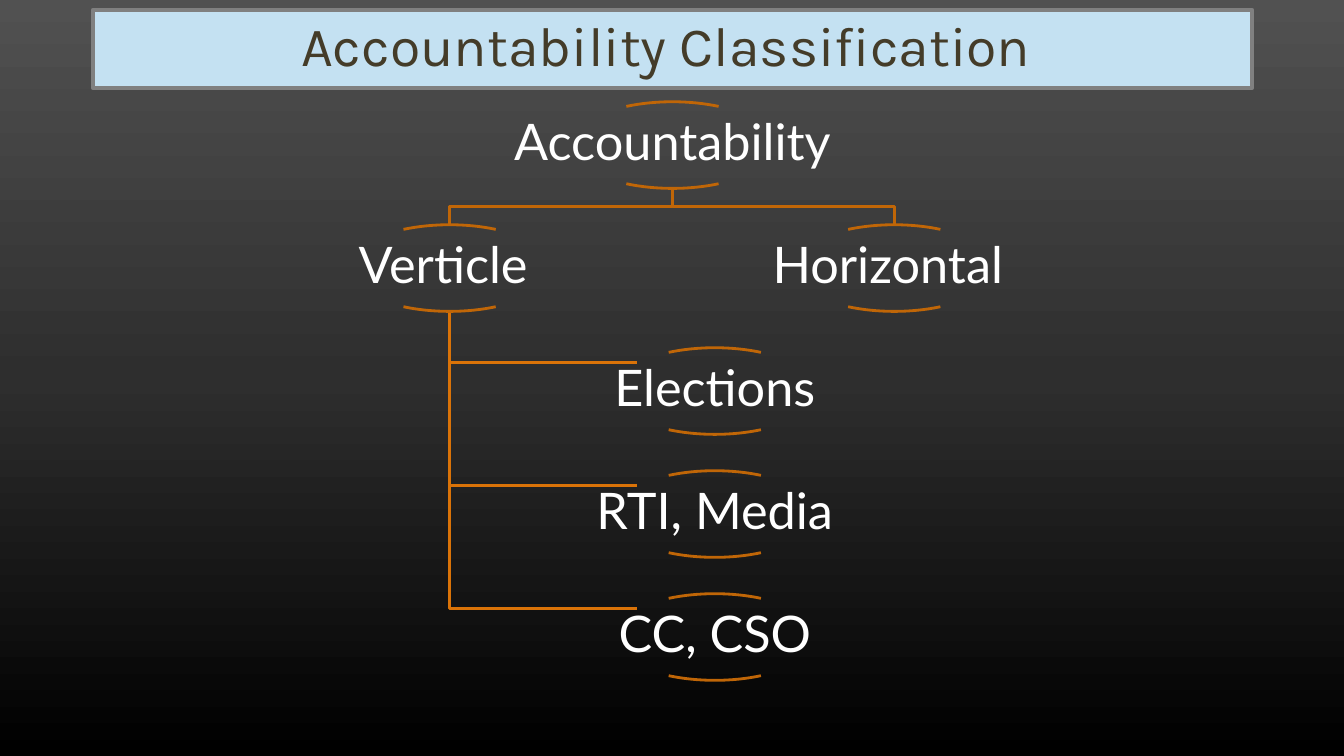
"""Build the accountability classification hierarchy slide."""
from copy import deepcopy

from lxml import etree
from pptx import Presentation
from pptx import util as u
from pptx.dml.color import RGBColor
from pptx.enum import shapes, text
from pptx.oxml.ns import qn


def rgb(value):
    return RGBColor.from_string(value)


def style_outline(sp, color):
    sp.shadow.inherit = False
    sp.fill.background()
    sp.line.color.rgb = rgb(color)
    sp.line.width = u.Pt(2)


ARC_COLOR = "C06607"
BRANCH_COLOR = "DA7308"
NODE_W, NODE_H = 2.03, 0.86
TOP, ROW_STEP = 1.01, 1.22
ROOT_X, VERTICAL_X, HORIZONTAL_X, LEAF_X = 6.67, 4.46, 8.87, 7.09
LEAF_EDGE = 6.32
row_tops = [TOP + ROW_STEP * i for i in range(5)]

prs = Presentation()
prs.slide_width, prs.slide_height = u.Inches(13.33), u.Inches(7.5)
s = prs.slides.add_slide(prs.slide_layouts[5])

background = s.background.fill
background.gradient()
background.gradient_angle = 270
stop_list = s.element.find(".//" + qn("a:gsLst"))
stop_list.insert(1, deepcopy(stop_list[0]))
stops = [(0, "515151"), (0.5, "2E2E2E"), (1, "000000")]
for stop, (position, color) in zip(background.gradient_stops, stops):
    stop.position = position
    stop.color.rgb = rgb(color)

root_bottom = row_tops[0] + NODE_H
vertical_bottom = row_tops[1] + NODE_H
elbow_y = (root_bottom + row_tops[1]) / 2
branches = [
    (ARC_COLOR, [(ROOT_X, root_bottom), (ROOT_X, elbow_y), (x, elbow_y), (x, row_tops[1])])
    for x in (HORIZONTAL_X, VERTICAL_X)
]
for top in row_tops[2:]:
    leaf_y = top + 0.15
    points = [(VERTICAL_X, vertical_bottom), (VERTICAL_X, leaf_y), (LEAF_EDGE, leaf_y)]
    branches.append((BRANCH_COLOR, points))

for color, points in branches:
    corners = [(u.Inches(x), u.Inches(y)) for x, y in points]
    builder = s.shapes.build_freeform(*corners[0])
    builder.add_line_segments(corners[1:], close=False)
    style_outline(builder.convert_to_shape(), color)

nodes = [
    ("Accountability", ROOT_X, 0),
    ("Verticle ", VERTICAL_X, 1),
    ("Elections", LEAF_X, 2),
    ("RTI, Media", LEAF_X, 3),
    ("CC, CSO", LEAF_X, 4),
    ("Horizontal ", HORIZONTAL_X, 1),
]
for label, center, row in nodes:
    top = row_tops[row]
    for start, end in ((132, 192), (24, 84)):
        arc = s.shapes.add_shape(
            shapes.MSO_SHAPE.ARC, u.Inches(center - NODE_W / 2), u.Inches(top),
            u.Inches(NODE_W), u.Inches(NODE_H))
        arc.adjustments[0], arc.adjustments[1] = start, end
        style_outline(arc, ARC_COLOR)

    box = s.shapes.add_textbox(
        u.Inches(center - NODE_W), u.Inches(top + 0.15), u.Inches(2 * NODE_W), u.Inches(0.55))
    tf = box.text_frame
    tf.word_wrap = True
    tf.vertical_anchor = text.MSO_ANCHOR.MIDDLE
    tf.margin_left = tf.margin_right = tf.margin_top = tf.margin_bottom = u.Inches(0.03)
    tf.text = label
    p = tf.paragraphs[0]
    p.alignment = text.PP_ALIGN.CENTER
    p.line_spacing = 0.9
    font = p.runs[0].font
    font.name, font.size = "Lato", u.Pt(36)
    font.color.rgb = rgb("FFFFFF")

title = s.shapes.title
title.left, title.top = u.Inches(0.92), u.Inches(0.1)
title.width, title.height = u.Inches(11.5), u.Inches(0.77)
geometry = etree.Element(qn("a:prstGeom"), prst="roundRect")
etree.SubElement(geometry, qn("a:avLst"))
title.element.spPr.insert(1, geometry)
title.fill.solid()
title.fill.fore_color.rgb = rgb("C4E1F2")
title.line.color.rgb = rgb("808080")
title.line.width = u.Pt(3)
tf = title.text_frame
tf.text = "Accountability Classification "
tf.word_wrap = True
tf.auto_size = text.MSO_AUTO_SIZE.NONE
tf.vertical_anchor = text.MSO_ANCHOR.MIDDLE
p = tf.paragraphs[0]
p.alignment = text.PP_ALIGN.CENTER
p.line_spacing = 0.9
font = p.runs[0].font
font.name, font.size = "Karla", u.Pt(39.6)
font.color.rgb = rgb("443C29")

prs.save("out.pptx")
